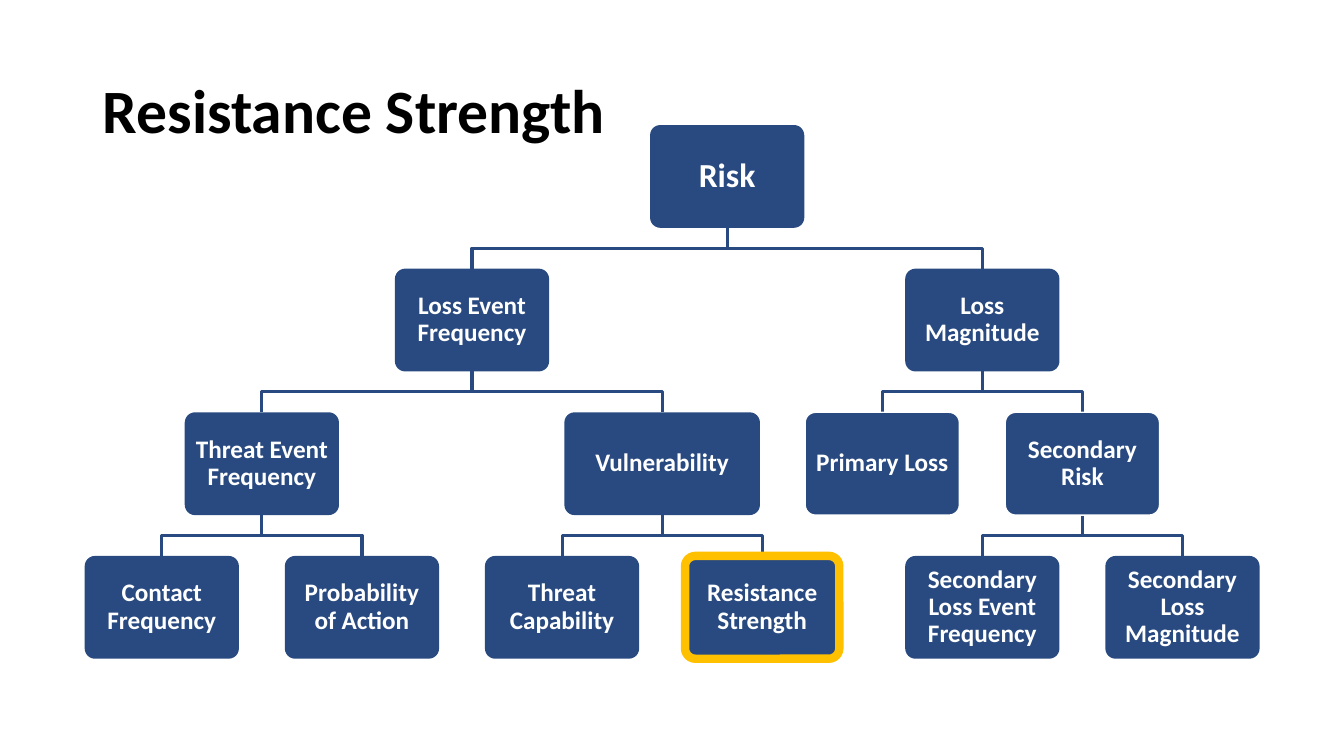
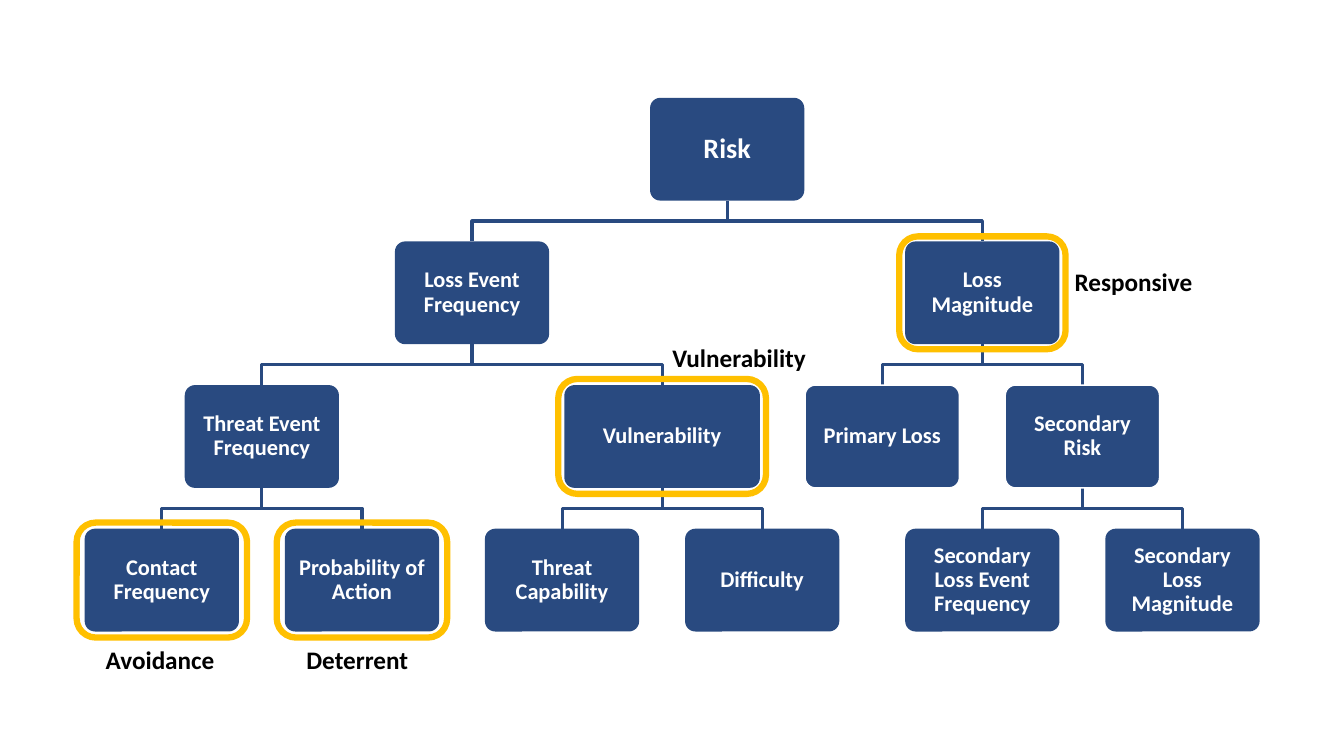
from pptx import Presentation
from pptx import util as u
from pptx.dml.color import RGBColor
from pptx.enum import shapes, text

NAVY = RGBColor(0x29, 0x4A, 0x80)
GOLD = RGBColor(0xFF, 0xC0, 0x00)
WHITE = RGBColor(0xFF, 0xFF, 0xFF)
BLACK = RGBColor(0, 0, 0)
FONT = "Calibri"

LEFT, COL, ROW = 0.84, 0.9925, 1.425
NODE_W, WIDE_W, NODE_H = 1.53, 1.94, 1.02

# name, column, row, parent
TREE = [
    ("Risk", 5.65, 0, None),
    ("Loss Event Frequency", 3.1, 1, "Risk"),
    ("Loss Magnitude", 8.2, 1, "Risk"),
    ("Threat Event Frequency", 1, 2, "Loss Event Frequency"),
    ("Vulnerability", 5, 2, "Loss Event Frequency"),
    ("Primary Loss", 7.2, 2, "Loss Magnitude"),
    ("Secondary Risk", 9.2, 2, "Loss Magnitude"),
    ("Contact Frequency", 0, 3, "Threat Event Frequency"),
    ("Probability of Action", 2, 3, "Threat Event Frequency"),
    ("Threat Capability", 4, 3, "Vulnerability"),
    ("Resistance Strength", 6, 3, "Vulnerability"),
    ("Secondary Loss Event Frequency", 8.2, 3, "Secondary Risk"),
    ("Secondary Loss Magnitude", 10.2, 3, "Secondary Risk"),
]
OUTLINES = {"Primary Loss": (WHITE, 1), "Secondary Risk": (WHITE, 1)}


def style(p, size, color, align):
    p.alignment = align
    p.font.name, p.font.size, p.font.bold = FONT, u.Pt(size), True
    p.font.color.rgb = color


def draw_tree(s, top, root_size, size, root_inset, renamed, outlines):
    boxes = {}
    for name, col, row, parent in TREE:
        w = WIDE_W if name == "Vulnerability" else NODE_W
        center = LEFT + col * COL + NODE_W / 2
        boxes[name] = (center - w / 2, top + row * ROW, w, NODE_H)
    for name, col, row, parent in TREE[1:]:
        x, y, w, h = boxes[name]
        px, py, pw, ph = boxes[parent]
        start, end = px + pw / 2, x + w / 2
        middle = (py + ph + y) / 2
        points = [(start, py + ph), (start, middle), (end, middle), (end, y)]
        points = [(u.Inches(a), u.Inches(b)) for a, b in points]
        fb = s.shapes.build_freeform(*points[0])
        fb.add_line_segments(points[1:], close=False)
        sp = fb.convert_to_shape()
        sp.shadow.inherit = False
        sp.fill.background()
        sp.line.color.rgb, sp.line.width = NAVY, u.Pt(2.25)
    for name, col, row, parent in TREE:
        sp = s.shapes.add_shape(shapes.MSO_SHAPE.ROUNDED_RECTANGLE,
                                *map(u.Inches, boxes[name]))
        sp.adjustments[0] = 0.1
        sp.shadow.inherit = False
        sp.fill.solid()
        sp.fill.fore_color.rgb = NAVY
        if name in outlines:
            color, width = outlines[name]
            sp.line.color.rgb, sp.line.width = color, u.Pt(width)
        else:
            sp.line.fill.background()
        tf = sp.text_frame
        tf.text = renamed.get(name, name)
        tf.word_wrap = True
        tf.vertical_anchor = text.MSO_ANCHOR.MIDDLE
        inset = u.Inches(0.07 if parent else root_inset)
        tf.margin_left = tf.margin_right = inset
        tf.margin_top = tf.margin_bottom = inset
        p = tf.paragraphs[0]
        p.line_spacing = 0.9
        style(p, size if parent else root_size, WHITE, text.PP_ALIGN.CENTER)
    return boxes


prs = Presentation()
prs.slide_width, prs.slide_height = u.Inches(13.33), u.Inches(7.5)

s = prs.slides.add_slide(prs.slide_layouts[5])
title = s.shapes.title
title.left, title.top = u.Inches(0.92), u.Inches(0.4)
title.width, title.height = u.Inches(11.5), u.Inches(1.45)
tf = title.text_frame
tf.text = "Resistance Strength"
tf.vertical_anchor = text.MSO_ANCHOR.MIDDLE
tf.paragraphs[0].line_spacing = 0.9
style(tf.paragraphs[0], 44, BLACK, text.PP_ALIGN.LEFT)
draw_tree(s, 1.24, 24, 18, 0.1, {},
          {**OUTLINES, "Resistance Strength": (GOLD, 6)})

s = prs.slides.add_slide(prs.slide_layouts[6])
boxes = draw_tree(s, 0.97, 20, 16, 0.08,
                  {"Resistance Strength": "Difficulty"}, OUTLINES)

# node, horizontal and vertical margin, label, label box
CONTROLS = [
    ("Contact Frequency", 0.08, 0.06, "Avoidance", (0.95, 6.34, 1.29, 0.4)),
    ("Probability of Action", 0.08, 0.06, "Deterrent", (2.94, 6.34, 1.22, 0.4)),
    ("Vulnerability", 0.06, 0.06, "Vulnerability", (6.57, 3.35, 1.54, 0.4)),
    ("Loss Magnitude", 0.06, 0.05, "Responsive", (10.56, 2.59, 1.38, 0.4)),
]
for name, dx, dy, label, label_box in CONTROLS:
    x, y, w, h = boxes[name]
    ring = (x - dx, y - dy, w + 2 * dx, h + 2 * dy)
    sp = s.shapes.add_shape(shapes.MSO_SHAPE.ROUNDED_RECTANGLE,
                            *map(u.Inches, ring))
    sp.shadow.inherit = False
    sp.fill.background()
    sp.line.color.rgb, sp.line.width = GOLD, u.Pt(4.5)
    tf = s.shapes.add_textbox(*map(u.Inches, label_box)).text_frame
    tf.text = label
    tf.word_wrap = False
    tf.auto_size = text.MSO_AUTO_SIZE.SHAPE_TO_FIT_TEXT
    style(tf.paragraphs[0], 18, BLACK, text.PP_ALIGN.LEFT)

prs.save("out.pptx")
